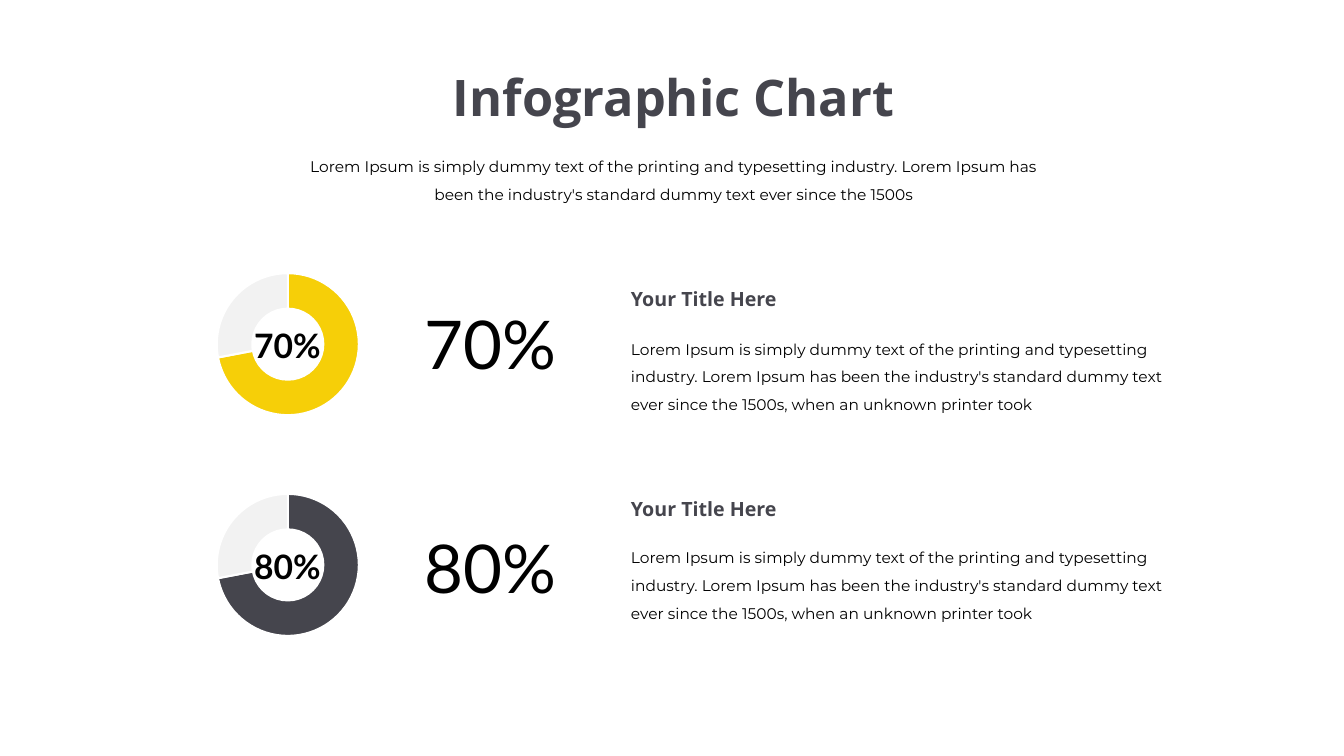
import pptx
import pptx.chart.data
import pptx.dml.color
import pptx.enum.chart
import pptx.enum.text
import pptx.util
from lxml import etree
from pptx.oxml.ns import qn

Inches = pptx.util.Inches
Pt = pptx.util.Pt

BLACK, SLATE, YELLOW, PALE, WHITE = "000000", "45454D", "F6CF08", "F2F2F2", "FFFFFF"
HEADING_FONT, BODY_FONT, NUMBER_FONT = "Open Sans", "Montserrat", "Lato"

INTRO = (
    "Lorem Ipsum is simply dummy text of the printing and typesetting industry. "
    "Lorem Ipsum has been the industry's standard dummy text ever since the 1500s"
)
DETAIL = INTRO + ", when an unknown printer took"


def color(hex_code):
    return pptx.dml.color.RGBColor.from_string(hex_code)


class SlideBuilder:
    def __init__(self, presentation):
        self.slide = presentation.slides.add_slide(presentation.slide_layouts[6])
        background = self.slide.background.fill
        background.solid()
        background.fore_color.rgb = color(WHITE)

    def text(self, words, box, size, font, ink=BLACK, bold=False, centered=False, spacing=1.0):
        shape = self.slide.shapes.add_textbox(*map(Inches, box))
        frame = shape.text_frame
        frame.word_wrap = True
        frame.auto_size = pptx.enum.text.MSO_AUTO_SIZE.SHAPE_TO_FIT_TEXT
        paragraph = frame.paragraphs[0]
        alignments = pptx.enum.text.PP_ALIGN
        paragraph.alignment = alignments.CENTER if centered else alignments.LEFT
        paragraph.line_spacing = spacing
        run = paragraph.add_run()
        run.text = words
        run.font.name = font
        run.font.size = Pt(size)
        run.font.bold = bold
        run.font.color.rgb = color(ink)

    def doughnut(self, box, values, slice_colors):
        data = pptx.chart.data.CategoryChartData()
        data.categories = ["1", "2", "3"]
        data.add_series("Series 1", values)
        chart_type = pptx.enum.chart.XL_CHART_TYPE.DOUGHNUT
        chart = self.slide.shapes.add_chart(chart_type, *map(Inches, box), data).chart
        chart.has_title = False
        chart.has_legend = False
        chart.font.name = "Calibri"
        chart.font.size = Pt(10)
        chart.font.color.rgb = color(BLACK)
        plot = chart.plots[0]
        plot.vary_by_categories = True
        for index, slice_color in enumerate(slice_colors):
            style = plot.series[0].points[index].format
            style.fill.solid()
            style.fill.fore_color.rgb = color(slice_color)
            style.line.color.rgb = color(WHITE)
            style.line.width = Pt(1.5)
        hole = chart._chartSpace.find(".//" + qn("c:holeSize"))
        if hole is not None:
            hole.set("val", "75")
        self.center_plot(chart, box, diameter=1.41)

    def center_plot(self, chart, box, diameter):
        """Fix the ring's diameter and centre it in the chart frame."""
        plot_area = chart._chartSpace.find(".//" + qn("c:plotArea"))
        layout = plot_area.find(qn("c:layout"))
        if layout is None:
            layout = etree.Element(qn("c:layout"))
            plot_area.insert(0, layout)
        manual = etree.SubElement(layout, qn("c:manualLayout"))
        width, height = diameter / box[2], diameter / box[3]
        settings = {
            "layoutTarget": "inner", "xMode": "edge", "yMode": "edge",
            "x": (1 - width) / 2, "y": (1 - height) / 2, "w": width, "h": height,
        }
        for name, value in settings.items():
            etree.SubElement(manual, qn("c:" + name)).set("val", str(value))


def main():
    presentation = pptx.Presentation()
    presentation.slide_width = Inches(13.33)
    presentation.slide_height = Inches(7.5)
    builder = SlideBuilder(presentation)

    builder.text("Infographic Chart", (2.3, 0.61, 8.76, 0.71), 36, HEADING_FONT,
                 SLATE, bold=True, centered=True)
    builder.text(INTRO, (2.91, 1.42, 7.55, 0.66), 11, BODY_FONT, centered=True, spacing=1.5)

    # percentage, ring colour, then tops of ring, ring label, big number, title, detail
    rows = [
        ("70%", YELLOW, 2.57, 3.17, 2.95, 2.8, 3.23),
        ("80%", SLATE, 4.76, 5.37, 5.17, 4.88, 5.3),
    ]
    for percentage, ring, ring_top, label_top, number_top, title_top, detail_top in rows:
        builder.doughnut((1.9, ring_top, 1.91, 1.69), (72, 28, None), (ring, PALE))
        builder.text(percentage, (2.19, label_top, 1.32, 0.5), 24, NUMBER_FONT,
                     bold=True, centered=True)
        builder.text(percentage, (4.11, number_top, 2.63, 0.91), 48, NUMBER_FONT)
        builder.text("Your Title Here", (6.16, title_top, 2.8, 0.34), 14, HEADING_FONT,
                     SLATE, bold=True)
        builder.text(DETAIL, (6.16, detail_top, 5.71, 0.93), 11, BODY_FONT, spacing=1.5)

    presentation.save("out.pptx")


if __name__ == "__main__":
    main()
